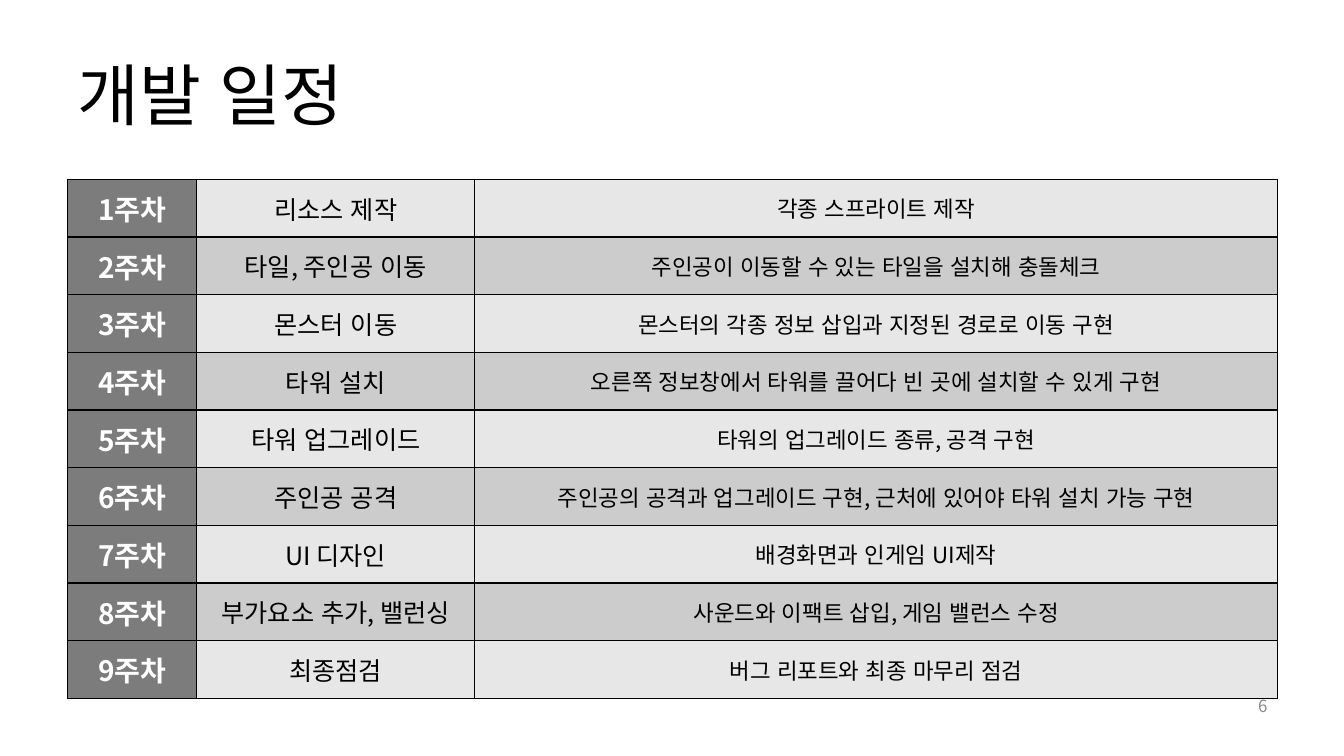
from lxml.etree import SubElement
from pptx import Presentation
from pptx.dml.color import RGBColor
from pptx.enum.lang import MSO_LANGUAGE_ID as Language
from pptx.enum.text import MSO_ANCHOR as Anchor, PP_ALIGN as Align
from pptx.oxml.ns import qn
from pptx.util import Inches, Pt

BLACK = RGBColor(0x00, 0x00, 0x00)
WHITE = RGBColor(0xFF, 0xFF, 0xFF)
PAGE_GRAY = RGBColor(0x89, 0x89, 0x89)
WEEK_FILL = RGBColor(0x7C, 0x7C, 0x7C)
ROW_FILLS = (RGBColor(0xE7, 0xE7, 0xE7), RGBColor(0xCC, 0xCC, 0xCC))

COLUMN_WIDTHS = (1.28, 2.76, 7.96)
COLUMN_STYLES = ((20, WHITE, True), (18, BLACK, False), (16, BLACK, False))
SCHEDULE = (
    ("리소스 제작", "각종 스프라이트 제작"),
    ("타일, 주인공 이동", "주인공이 이동할 수 있는 타일을 설치해 충돌체크"),
    ("몬스터 이동", "몬스터의 각종 정보 삽입과 지정된 경로로 이동 구현"),
    ("타워 설치", "오른쪽 정보창에서 타워를 끌어다 빈 곳에 설치할 수 있게 구현"),
    ("타워 업그레이드", "타워의 업그레이드 종류, 공격 구현"),
    ("주인공 공격", "주인공의 공격과 업그레이드 구현, 근처에 있어야 타워 설치 가능 구현"),
    ("UI 디자인", "배경화면과 인게임 UI제작"),
    ("부가요소 추가, 밸런싱", "사운드와 이팩트 삽입, 게임 밸런스 수정"),
    ("최종점검", "버그 리포트와 최종 마무리 점검"),
)


class SlideBuilder:
    font_name = "Noto Sans CJK KR"

    def __init__(self, page):
        self.page = page

    def fill_text(self, frame, text, size, color, align, bold=False):
        frame.text = text
        para = frame.paragraphs[0]
        para.alignment = align
        span = para.runs[0]
        font = span.font
        font.size = Pt(size)
        font.bold = bold
        font.color.rgb = color
        font.name = self.font_name
        font.language_id = Language.KOREAN
        east_asian = SubElement(span._r.get_or_add_rPr(), qn("a:ea"))
        east_asian.set("typeface", self.font_name)

    def text(self, text, left, top, width, height, size, color,
             align=Align.LEFT, anchor=Anchor.TOP):
        box = self.page.shapes.add_textbox(
            Inches(left), Inches(top), Inches(width), Inches(height))
        frame = box.text_frame
        frame.word_wrap = True
        frame.vertical_anchor = anchor
        self.fill_text(frame, text, size, color, align)

    def border(self, cell):
        properties = cell._tc.get_or_add_tcPr()
        for side in ("a:lnL", "a:lnR", "a:lnT", "a:lnB"):
            line = SubElement(properties, qn(side), w=str(Pt(1)))
            fill = SubElement(line, qn("a:solidFill"))
            SubElement(fill, qn("a:srgbClr"), val=str(BLACK))

    def schedule(self, tasks, left, top, width, height):
        table = self.page.shapes.add_table(
            len(tasks), len(COLUMN_WIDTHS), Inches(left), Inches(top),
            Inches(width), Inches(height)).table
        for column, column_width in zip(table.columns, COLUMN_WIDTHS):
            column.width = Inches(column_width)
        for index, task in enumerate(tasks):
            row_fill = ROW_FILLS[index % 2]
            texts = (f"{index + 1}주차", *task)
            fills = (WEEK_FILL, row_fill, row_fill)
            cells = table.rows[index].cells
            for cell, text, fill, style in zip(cells, texts, fills, COLUMN_STYLES):
                size, color, bold = style
                self.border(cell)
                cell.fill.solid()
                cell.fill.fore_color.rgb = fill
                cell.vertical_anchor = Anchor.MIDDLE
                self.fill_text(cell.text_frame, text, size, color, Align.CENTER, bold)


def main():
    deck = Presentation()
    deck.slide_width = Inches(13.33)
    deck.slide_height = Inches(7.5)
    builder = SlideBuilder(deck.slides.add_slide(deck.slide_layouts[6]))
    builder.text("개발 일정", 0.67, 0.3, 12, 1.25, 48, BLACK, anchor=Anchor.MIDDLE)
    builder.text("6", 10, 6.85, 2.67, 0.5, 12, PAGE_GRAY, align=Align.RIGHT)
    builder.schedule(SCHEDULE, 0.67, 1.78, 12, 5.15)
    deck.save("out.pptx")


if __name__ == "__main__":
    main()
